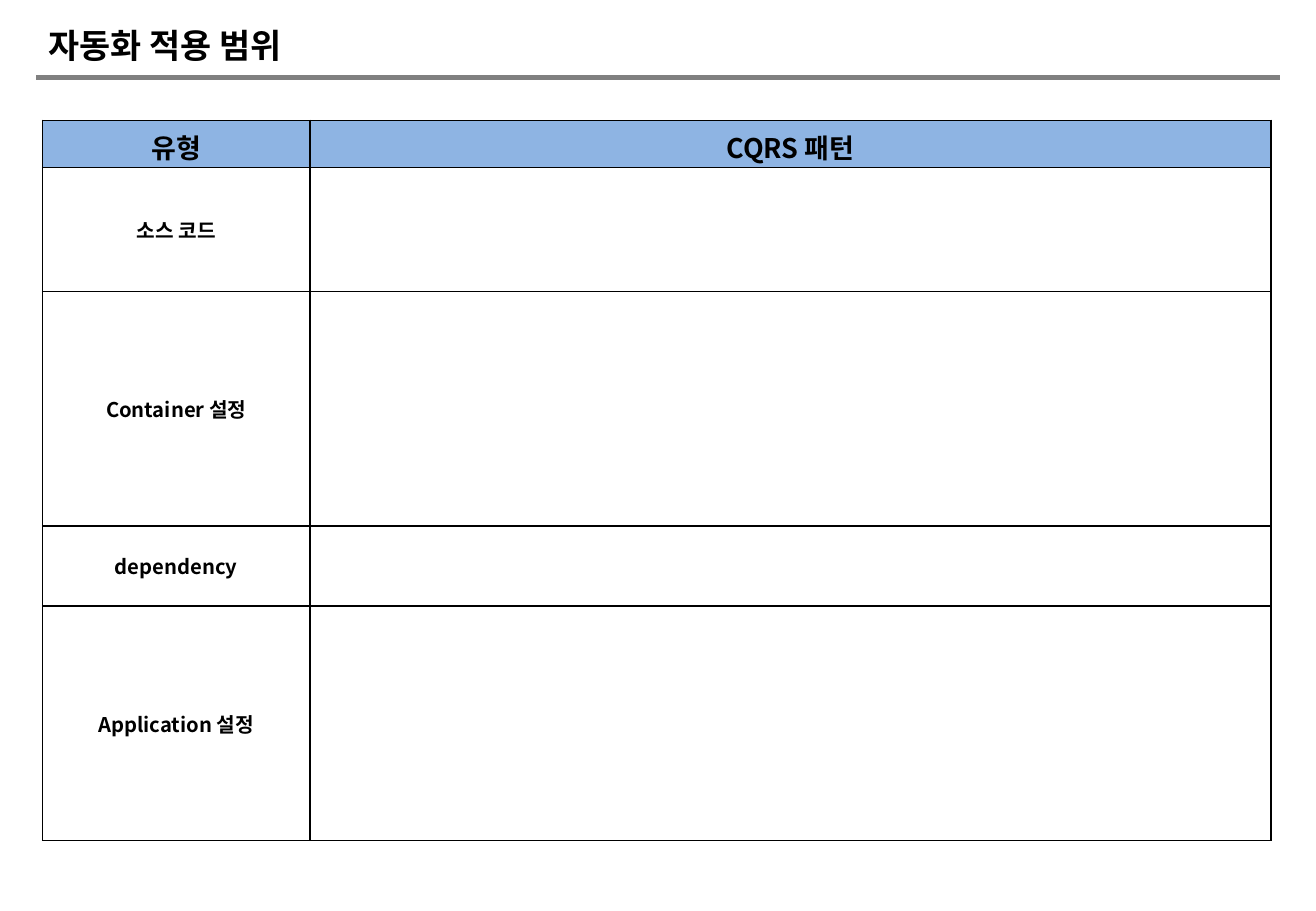
from dataclasses import dataclass
from lxml.etree import SubElement as Sub
from pptx import Presentation
from pptx.dml.color import RGBColor as Color
from pptx.enum.shapes import MSO_CONNECTOR as Link
from pptx.enum.text import MSO_ANCHOR as Anchor, PP_ALIGN as Align
from pptx.oxml.ns import qn
from pptx.util import Inches, Pt


@dataclass(frozen=True)
class Theme:
    """Colours, fonts, type sizes and line widths."""
    ink: str = "000000"
    rule: str = "808080"
    head: str = "8EB4E3"
    latin: str = "Lato"
    font: str = "Noto Sans CJK KR"
    title: int = 20
    label: int = 16
    body: int = 12
    thick: int = 3
    thin: int = 1


THEME = Theme()
COLS, ROWS = 108.3, 75
UNIT = Inches(0.1)
PAD = 0.6


def grid(*sizes):
    """Turn grid columns and rows into slide lengths."""
    return [round(size * UNIT) for size in sizes]


def apply(item, form):
    """Set each format value on an item."""
    for name, value in form.items():
        setattr(item, name, value)


def write(frame, text, size, face, align):
    """Put one bold line into a text frame."""
    para = frame.paragraphs[0]
    para.alignment = align
    run = para.add_run()
    run.text = text
    apply(run.font, {"size": Pt(size), "bold": True, "name": face})
    run.font.color.rgb = Color.from_string(THEME.ink)
    Sub(run.font._element, qn("a:ea"), typeface=THEME.font)


def border(cell):
    """Draw a thin line on all four sides of a cell."""
    props = cell._tc.get_or_add_tcPr()
    for side in "LRTB":
        line = Sub(props, qn(f"a:ln{side}"), w=str(Pt(THEME.thin)))
        fill = Sub(line, qn("a:solidFill"))
        Sub(fill, qn("a:srgbClr"), val=THEME.ink)


def header(slide, box, text):
    """Place the title with a rule below it."""
    left, top, width, height = box
    area = slide.shapes.add_textbox(*grid(left, top, width, height - 0.5))
    frame = area.text_frame
    apply(frame, {"word_wrap": True, "vertical_anchor": Anchor.MIDDLE})
    write(frame, text, THEME.title, THEME.latin, Align.LEFT)
    base = top + height
    ends = grid(left, base, left + width, base)
    rule = slide.shapes.add_connector(Link.STRAIGHT, *ends)
    rule.line.color.rgb = Color.from_string(THEME.rule)
    rule.line.width = Pt(THEME.thick)
    Sub(rule._element.spPr, qn("a:effectLst"))


def matrix(slide, box, data, wide, tall):
    """Fill a box with a table whose tracks share it by weight."""
    left, top, width, height = box
    frame = slide.shapes.add_table(len(data), len(wide), *grid(*box))
    table = frame.table
    apply(table, {"first_row": False, "horz_banding": False})
    for col, part in zip(table.columns, wide):
        col.width, = grid(width * part / sum(wide))
    for row, part in zip(table.rows, tall):
        row.height, = grid(height * part / sum(tall))
    pad, = grid(PAD)
    sides = ("left", "right", "top", "bottom")
    form = {f"margin_{side}": pad for side in sides}
    form["vertical_anchor"] = Anchor.MIDDLE
    for r, line in enumerate(data):
        size = THEME.body if r else THEME.label
        for c, text in enumerate(line):
            cell = table.cell(r, c)
            apply(cell, form)
            border(cell)
            if r:
                cell.fill.background()
            else:
                cell.fill.solid()
                cell.fill.fore_color.rgb = Color.from_string(THEME.head)
            if text:
                write(cell.text_frame, text, size, THEME.font, Align.CENTER)


def build():
    """Make the slide and save it."""
    deck = Presentation()
    wide, tall = grid(COLS, ROWS)
    apply(deck, {"slide_width": wide, "slide_height": tall})
    slide = deck.slides.add_slide(deck.slide_layouts[6])
    header(slide, (3, 1.5, 102.3, 4.9), "자동화 적용 범위")
    kinds = ("소스 코드", "Container 설정", "dependency", "Application 설정")
    data = [("유형", "CQRS 패턴")] + [(kind, "") for kind in kinds]
    matrix(slide, (3.5, 9.9, 101.1, 59.3), data,
           (22, 79), (3.9, 10.2, 19.3, 6.6, 19.3))
    deck.save("out.pptx")


build()
